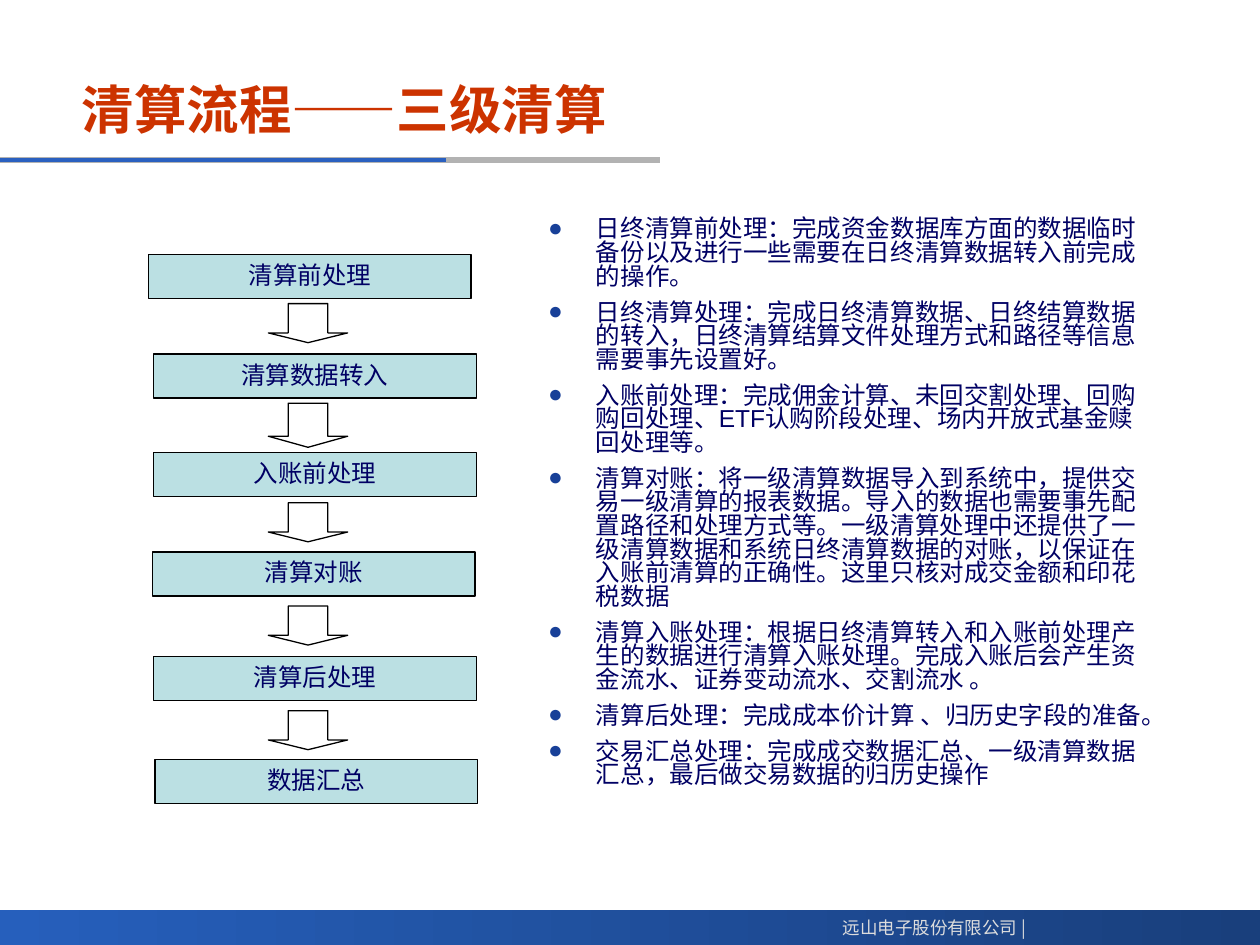
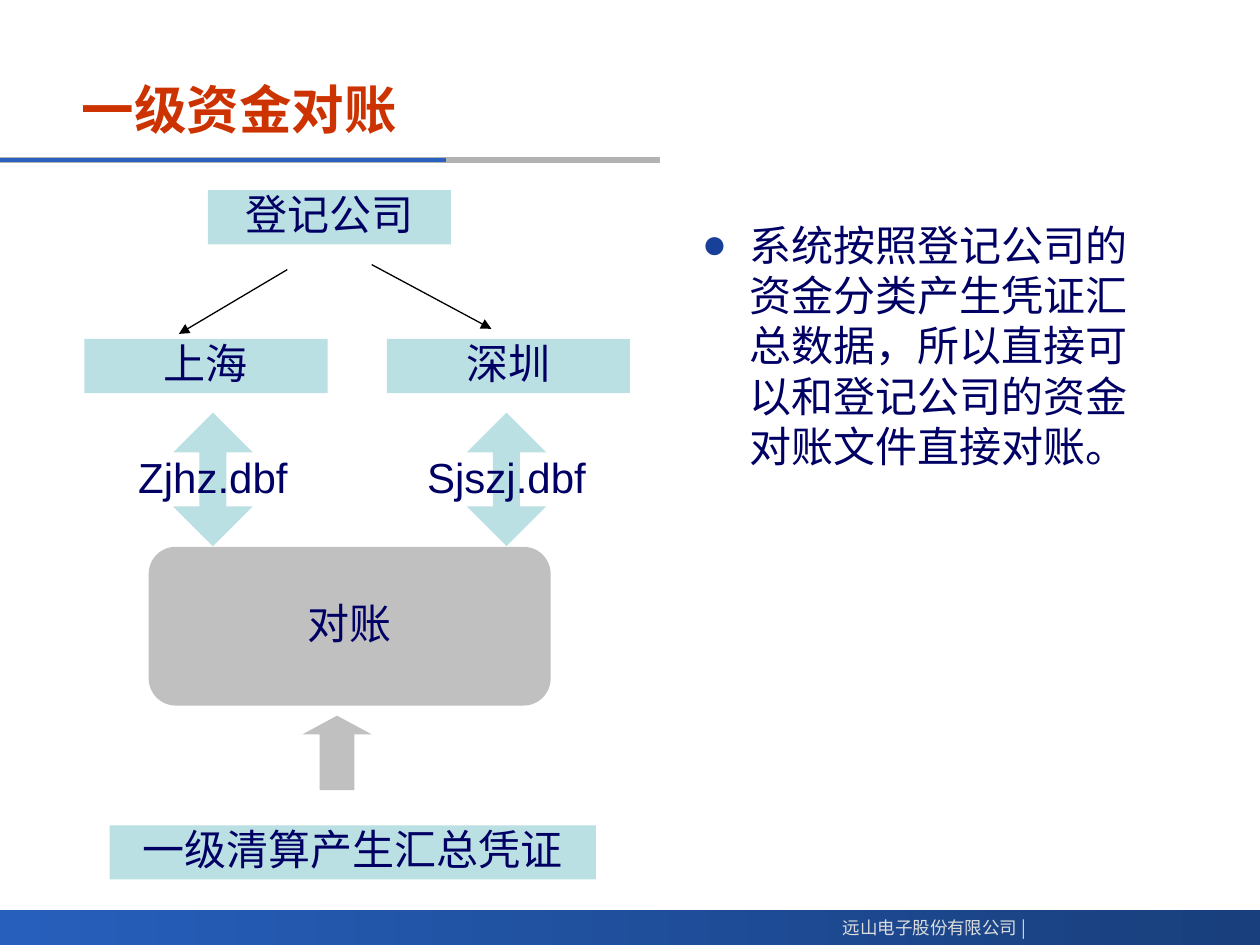
from lxml.etree import SubElement
from pptx import Presentation
from pptx.dml.color import RGBColor
from pptx.enum.shapes import MSO_CONNECTOR, MSO_SHAPE as SHAPE
from pptx.enum.text import MSO_ANCHOR as ANCHOR, MSO_AUTO_SIZE, PP_ALIGN as ALIGN
from pptx.oxml.ns import qn
from pptx.util import Inches, Pt

COLORS = {
    "title": "CC3300", "text": "000064", "bullet": "184098",
    "box": "BBE0E3", "gray_box": "C0C0C0", "outline": "000000",
    "rule_gray": "B2B2B2", "rule_blue": "2A60C0", "footer": "DDDDDD",
    "band_dark": "193F7C", "band_light": "265FBC",
}
LATIN, HAN = "Arial", "Noto Sans CJK SC"

# The slide is a grid of 100 columns by 75 rows
COLUMNS, ROWS = 100, 75
CELL = Inches(0.1)

FLOW_BOX_SIZE = (25.6, 3.5)
FLOW_STEPS = [  # label, column, row
    ("清算前处理", 11.8, 20.2),
    ("清算数据转入", 12.2, 28.1),
    ("入账前处理", 12.2, 35.9),
    ("清算对账", 12.1, 43.8),
    ("清算后处理", 12.2, 52.1),
    ("数据汇总", 12.3, 60.3),
]
FLOW_ARROWS = [(24.1, 3.1), (32, 3.5), (39.9, 3.1), (48.1, 3.1), (56.4, 3.1)]  # row, height
FLOW_NOTES = [
    "日终清算前处理：完成资金数据库方面的数据临时备份以及进行一些需要在日终清算数据转入前完成的操作。",
    "日终清算处理：完成日终清算数据、日终结算数据的转入，日终清算结算文件处理方式和路径等信息需要事先设置好。",
    "入账前处理：完成佣金计算、未回交割处理、回购购回处理、ETF认购阶段处理、场内开放式基金赎回处理等。",
    "清算对账：将一级清算数据导入到系统中，提供交易一级清算的报表数据。导入的数据也需要事先配置路径和处理方式等。"
    "一级清算处理中还提供了一级清算数据和系统日终清算数据的对账，以保证在入账前清算的正确性。"
    "这里只核对成交金额和印花税数据",
    "清算入账处理：根据日终清算转入和入账前处理产生的数据进行清算入账处理。"
    "完成入账后会产生资金流水、证券变动流水、交割流水 。",
    "清算后处理：完成成本价计算 、归历史字段的准备。",
    "交易汇总处理：完成成交数据汇总、一级清算数据汇总，最后做交易数据的归历史操作",
]
ACCOUNT_NOTES = ["系统按照登记公司的资金分类产生凭证汇总数据，所以直接可以和登记公司的资金对账文件直接对账。"]


def rgb(name):
    return RGBColor.from_string(COLORS[name])


def cells(*counts):
    return [int(count * CELL) for count in counts]


def add_run(paragraph, text, size, color, bold=False, latin=LATIN):
    run = paragraph.add_run()
    run.text = text
    font = run.font
    font.name, font.size, font.bold = latin, Pt(size), bold
    font.color.rgb = rgb(color)
    SubElement(run._r.get_or_add_rPr(), qn("a:ea"), typeface=HAN)


def add_bullet(paragraph):
    properties = paragraph._p.get_or_add_pPr()
    properties.set("marL", str(Inches(0.38)))
    properties.set("indent", str(-Inches(0.38)))
    color = SubElement(properties, qn("a:buClr"))
    SubElement(color, qn("a:srgbClr"), val=COLORS["bullet"])
    SubElement(properties, qn("a:buFont"), typeface=LATIN)
    SubElement(properties, qn("a:buChar"), char="●")


def add_block(slide, kind, area, fill=None, line=None, label=None, size=24, adjust=()):
    block = slide.shapes.add_shape(kind, *cells(*area))
    block.shadow.inherit = False
    for index, value in enumerate(adjust):
        block.adjustments[index] = value
    if fill:
        block.fill.solid()
        block.fill.fore_color.rgb = rgb(fill)
    else:
        block.fill.background()
    if line:
        block.line.color.rgb = rgb(line)
        block.line.width = Pt(0.75)
    else:
        block.line.fill.background()
    if label:
        frame = block.text_frame
        frame.word_wrap = False
        frame.vertical_anchor = ANCHOR.MIDDLE
        paragraph = frame.paragraphs[0]
        paragraph.alignment = ALIGN.CENTER
        paragraph.line_spacing = 0.9
        add_run(paragraph, label, size, "text")
    return block


def add_line(slide, start, end, color, width, arrow=False):
    line = slide.shapes.add_connector(MSO_CONNECTOR.STRAIGHT, *cells(*start, *end))
    line.line.color.rgb = rgb(color)
    line.line.width = Pt(width)
    if arrow:
        SubElement(line.line._get_or_add_ln(), qn("a:tailEnd"), type="triangle")
    SubElement(line._element.spPr, qn("a:effectLst"))


def add_footer_band(slide):
    band = add_block(slide, SHAPE.RECTANGLE, (0, 72.2, COLUMNS, 2.8))
    band.fill.gradient()
    band.fill.gradient_angle = 180
    for stop, position, color in zip(band.fill.gradient_stops, (0, 1), ("band_dark", "band_light")):
        stop.position = position
        stop.color.rgb = rgb(color)
    company = slide.shapes.add_textbox(*cells(65.3, 72.3, 17.1, 2.7)).text_frame
    company.word_wrap = False
    paragraph = company.paragraphs[0]
    paragraph.alignment = ALIGN.RIGHT
    add_run(paragraph, "远山电子股份有限公司 |", 10, "footer", latin=HAN)


def place(holder, area):
    holder.left, holder.top, holder.width, holder.height = cells(*area)
    frame = holder.text_frame
    frame.word_wrap = True
    frame.auto_size = MSO_AUTO_SIZE.NONE
    return frame


def add_titled_slide(deck, title):
    slide = deck.slides.add_slide(deck.slide_layouts[1])
    add_footer_band(slide)
    add_line(slide, (0, 12.7), (52.4, 12.7), "rule_gray", 3)
    add_line(slide, (0, 12.7), (35.4, 12.7), "rule_blue", 2.25)
    frame = place(slide.shapes.title, (5.5, 5.6, 69.2, 6.7))
    frame.vertical_anchor = ANCHOR.MIDDLE
    paragraph = frame.paragraphs[0]
    paragraph.alignment = ALIGN.LEFT
    paragraph.line_spacing = 0.9
    add_run(paragraph, title, 30, "title", bold=True)
    return slide


def fill_notes(slide, area, notes, size, pitch, gap):
    frame = place(slide.placeholders[1], area)
    frame.margin_top = Inches(0.08)
    for index, note in enumerate(notes):
        paragraph = frame.add_paragraph() if index else frame.paragraphs[0]
        add_bullet(paragraph)
        paragraph.line_spacing = Pt(pitch)
        paragraph.space_before = Pt(0)
        paragraph.space_after = Pt(gap)
        add_run(paragraph, note, size, "text")


def build_clearing_flow(deck):
    slide = add_titled_slide(deck, "清算流程——三级清算")
    fill_notes(slide, (42.5, 16.6, 49.2, 52), FLOW_NOTES, 14, 13.5, 7)
    for label, column, row in FLOW_STEPS:
        add_block(slide, SHAPE.RECTANGLE, (column, row, *FLOW_BOX_SIZE),
                  "box", "outline", label, 14)
    for row, height in FLOW_ARROWS:
        add_block(slide, SHAPE.DOWN_ARROW, (21.3, row, 6.3, height),
                  line="outline", adjust=(0.5, 0.25))


def build_account_check(deck):
    slide = add_titled_slide(deck, "一级资金对账")
    fill_notes(slide, (54.7, 16.6, 37, 52), ACCOUNT_NOTES, 24, 28.75, 12)

    # Registry, its two exchanges and the summary vouchers
    for label, column, row, width in [
        ("登记公司", 16.5, 15.1, 19.3),
        ("上海", 6.7, 26.9, 19.3),
        ("深圳", 30.7, 26.9, 19.3),
        ("一级清算产生汇总凭证", 8.7, 65.5, 38.6),
    ]:
        add_block(slide, SHAPE.RECTANGLE, (column, row, width, 4.3), "box", label=label)

    # Files exchanged with each market
    for file_name, column in [("Zjhz.dbf", 13.75), ("Sjszj.dbf", 37.05)]:
        add_block(slide, SHAPE.UP_DOWN_ARROW, (column, 32.75, 6.3, 10.6), "box",
                  label=file_name, adjust=(0.5, 0.34))
    add_line(slide, (22.8, 21.4), (14.2, 26.5), "outline", 0.75, arrow=True)
    add_line(slide, (29.5, 21), (39, 26.1), "outline", 0.75, arrow=True)

    # Reconciliation
    add_block(slide, SHAPE.ROUNDED_RECTANGLE, (11.8, 43.4, 31.9, 12.6), "gray_box",
              label="对账", adjust=(0.17,))
    add_block(slide, SHAPE.UP_ARROW, (24, 56.8, 5.5, 5.9), "gray_box", adjust=(0.5, 0.27))


def main():
    deck = Presentation()
    deck.slide_width, deck.slide_height = cells(COLUMNS, ROWS)
    build_clearing_flow(deck)
    build_account_check(deck)
    deck.save("out.pptx")


if __name__ == "__main__":
    main()
